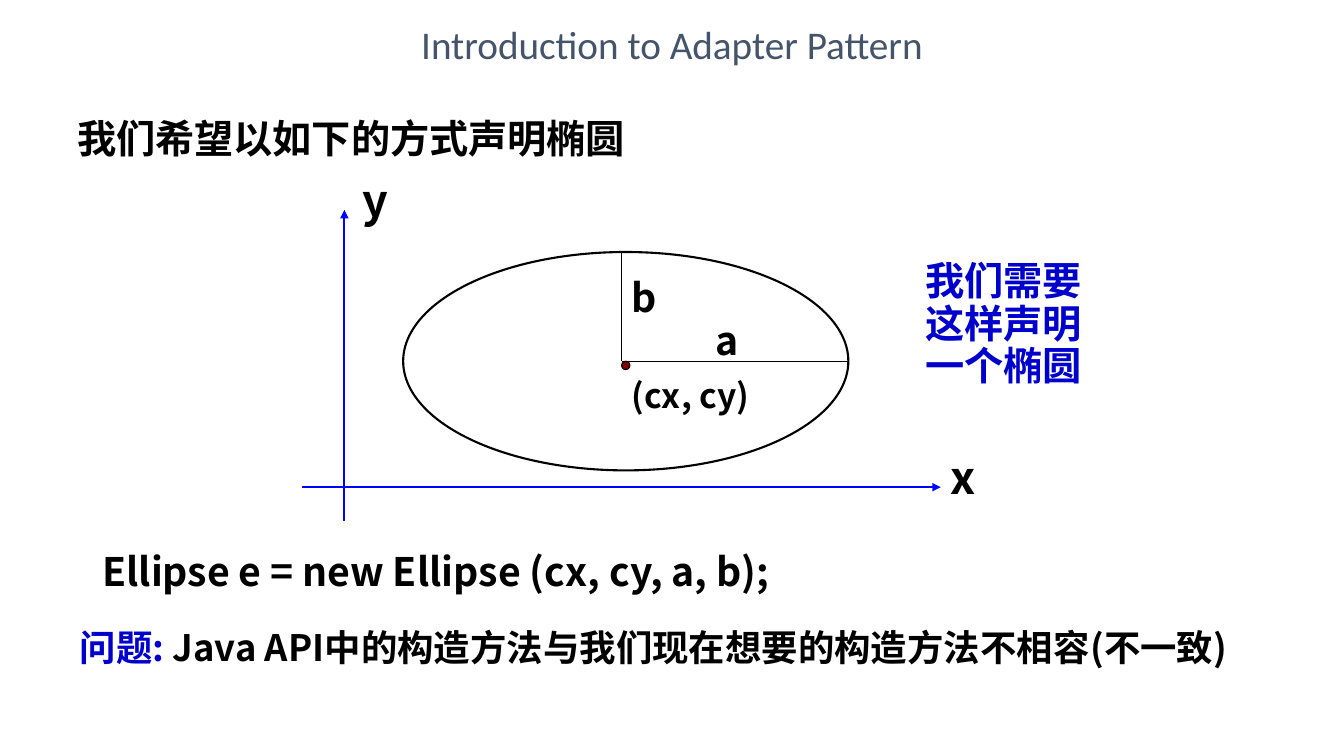
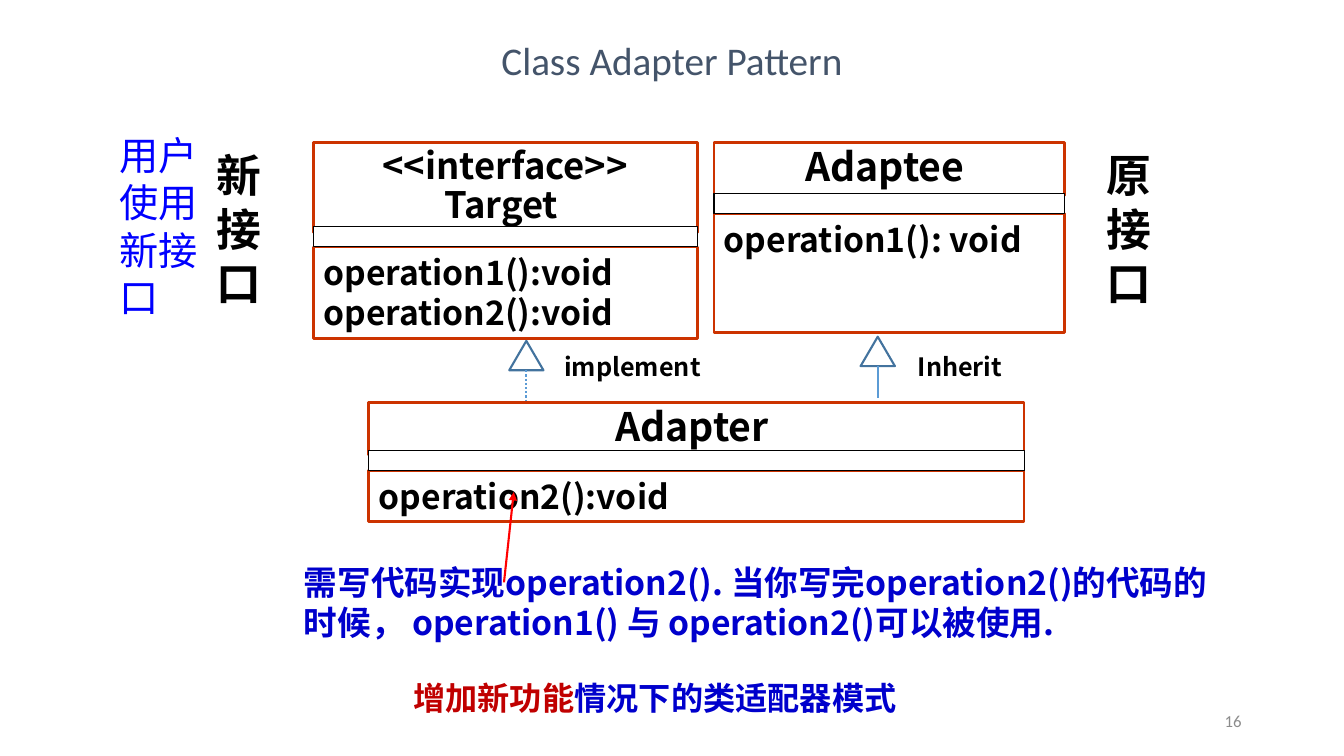
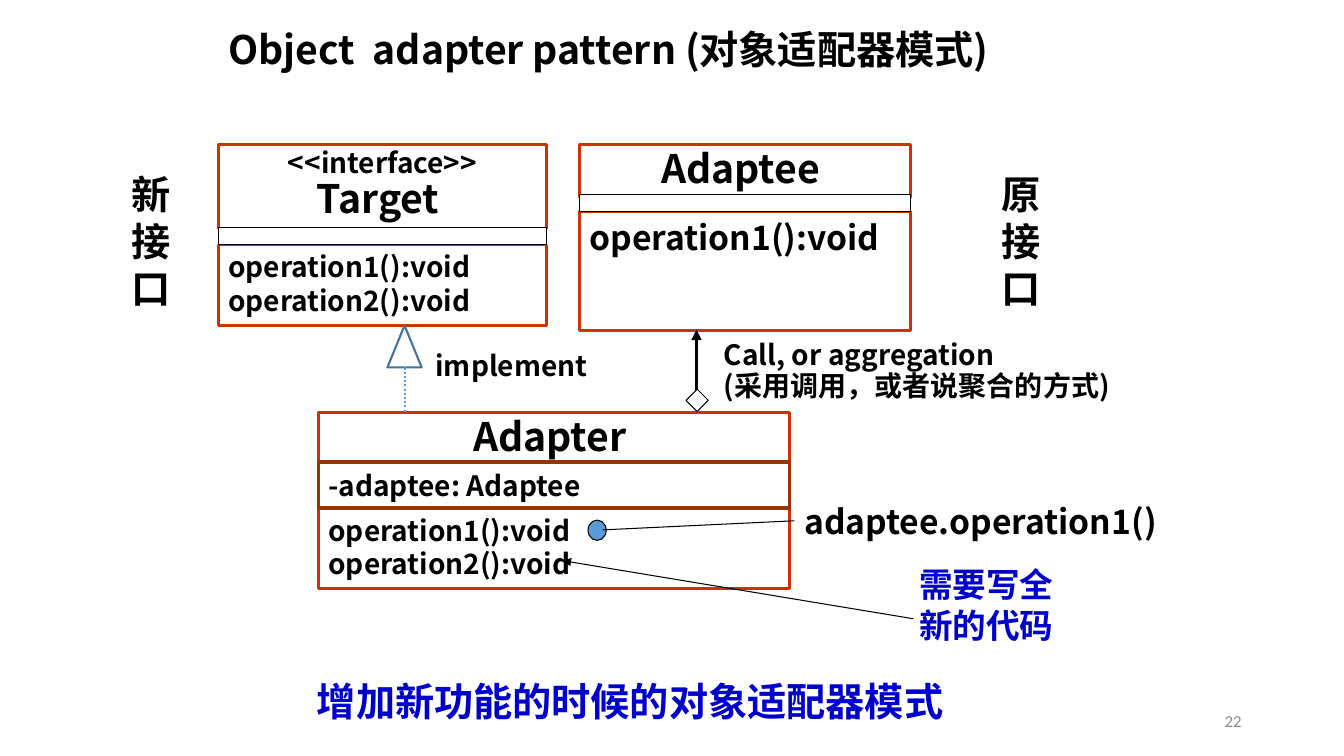
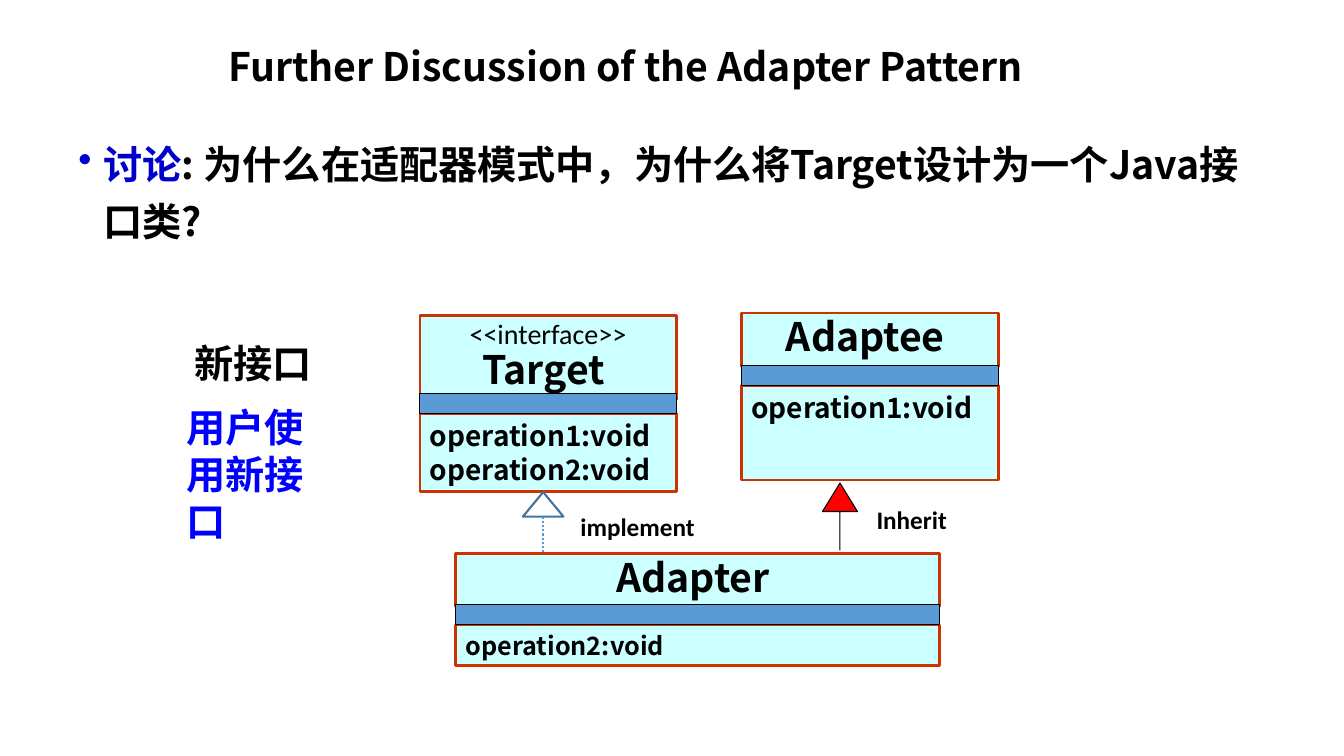
from dataclasses import dataclass, replace

from lxml.etree import SubElement
from pptx import Presentation
from pptx.dml.color import RGBColor
from pptx.enum.dml import MSO_LINE
from pptx.enum.shapes import MSO_CONNECTOR, MSO_SHAPE
from pptx.enum.text import MSO_ANCHOR, MSO_AUTO_SIZE, PP_ALIGN
from pptx.oxml.ns import qn
from pptx.util import Pt

BLACK = RGBColor(0, 0, 0)
WHITE = RGBColor(0xFF, 0xFF, 0xFF)
SLATE = RGBColor(0x44, 0x54, 0x6A)
GREY = RGBColor(0x8C, 0x8C, 0x8C)
NAVY = RGBColor(0, 0, 0xCC)
BLUE = RGBColor(0, 0, 0xFF)
RED = RGBColor(0xFF, 0, 0)
CRIMSON = RGBColor(0xC0, 0, 0)
MAROON = RGBColor(0x80, 0, 0)
RUST = RGBColor(0xCC, 0x33, 0)
BROWN = RGBColor(0x99, 0x33, 0)
STEEL = RGBColor(0x43, 0x73, 0x9E)
SKY = RGBColor(0x5B, 0x9B, 0xD5)
AQUA = RGBColor(0xCC, 0xFF, 0xFF)


@dataclass(frozen=True)
class Style:
    size: float = 28
    color: RGBColor = BLACK
    bold: bool = True
    font: str = "Noto Sans CJK SC"


BODY = Style()
MEDIUM = Style(size=24)
SMALL = Style(size=20)
LABEL = Style(size=18)
LATIN_LABEL = Style(size=18, font="Calibri")
NOTE = Style(color=NAVY)
TITLE = Style(color=SLATE, bold=False, font="Calibri")
FOOTER = Style(size=12, color=GREY, bold=False, font="Calibri")


class Sheet:
    """Holds the deck, the current slide and the shared look; lengths are points."""

    def __init__(self):
        self.deck = Presentation()
        self.deck.slide_width, self.deck.slide_height = Pt(960), Pt(540)
        self.shapes = None

    def new_slide(self):
        self.shapes = self.deck.slides.add_slide(self.deck.slide_layouts[6]).shapes

    def put_text(self, shape, lines, style=BODY, align=PP_ALIGN.LEFT, spacing=None,
                 anchor=MSO_ANCHOR.TOP, grow=True, hanging=0, bullet=None):
        """Fill a shape; a line is a string or a list of (string, Style) pairs."""
        frame = shape.text_frame
        frame.word_wrap = True
        frame.vertical_anchor = anchor
        frame.auto_size = MSO_AUTO_SIZE.SHAPE_TO_FIT_TEXT if grow else MSO_AUTO_SIZE.NONE
        for index, line in enumerate(lines):
            para = frame.add_paragraph() if index else frame.paragraphs[0]
            para.alignment = align
            if spacing:
                para.line_spacing = spacing
            if hanging:
                properties = para._p.get_or_add_pPr()
                properties.set("marL", str(Pt(hanging)))
                properties.set("indent", str(-Pt(hanging)))
                if bullet:
                    SubElement(properties, qn("a:buChar")).set("char", bullet)
            for words, look in [(line, style)] if isinstance(line, str) else line:
                span = para.add_run()
                span.text = words
                span.font.size = Pt(look.size)
                span.font.bold = look.bold
                span.font.color.rgb = look.color
                span.font.name = look.font
                SubElement(span._r.get_or_add_rPr(), qn("a:ea")).set("typeface", look.font)

    def text(self, left, top, width, height, lines, style=BODY, **options):
        box = self.shapes.add_textbox(Pt(left), Pt(top), Pt(width), Pt(height))
        self.put_text(box, lines, style, **options)
        return box

    def shape(self, kind, left, top, width, height, fill=None, line=BLACK, weight=0.75):
        shape = self.shapes.add_shape(kind, Pt(left), Pt(top), Pt(width), Pt(height))
        shape.shadow.inherit = False
        if fill is None:
            shape.fill.background()
        else:
            shape.fill.solid()
            shape.fill.fore_color.rgb = fill
        if line is None:
            shape.line.fill.background()
        else:
            shape.line.color.rgb = line
            shape.line.width = Pt(weight)
        return shape

    def line(self, start, end, color=BLACK, weight=0.75, arrow=False, dash=None):
        connector = self.shapes.add_connector(
            MSO_CONNECTOR.STRAIGHT, *(Pt(value) for value in (*start, *end)))
        connector.line.color.rgb = color
        connector.line.width = Pt(weight)
        if dash:
            connector.line.dash_style = dash
        if arrow:
            SubElement(connector.get_or_add_ln(), qn("a:tailEnd")).set("type", "triangle")
        SubElement(connector._element.spPr, qn("a:effectLst"))
        return connector

    def title(self, top, words):
        self.text(156, top, 648, 50, [words], TITLE, align=PP_ALIGN.CENTER,
                  anchor=MSO_ANCHOR.MIDDLE, grow=False)

    def bold_title(self, top, height, words):
        self.text(156, top, 648, height, [words], spacing=0.9,
                  anchor=MSO_ANCHOR.MIDDLE, grow=False)

    def page_number(self, number):
        self.text(678, 500.5, 216, 28.75, [number], FOOTER, align=PP_ALIGN.RIGHT,
                  anchor=MSO_ANCHOR.MIDDLE, grow=False)

    def class_box(self, left, top, width, head, head_height, band_top, band_height,
                  rows, rows_height, style=MEDIUM, head_style=BODY, fill=WHITE,
                  band_fill=WHITE):
        """Draw a class with its name, a middle band and its operations; return the band."""
        rows_top = band_top + band_height
        operations = self.shape(MSO_SHAPE.RECTANGLE, left, rows_top, width, rows_height,
                                fill, RUST, 2)
        self.put_text(operations, rows, style)
        name = self.shape(MSO_SHAPE.RECTANGLE, left, top, width, head_height, fill, RUST, 2)
        self.put_text(name, head, head_style, align=PP_ALIGN.CENTER, spacing=0.9)
        return self.shape(MSO_SHAPE.RECTANGLE, left, band_top, width, band_height, band_fill)

    def hollow_arrow(self, center, top, width, height, bottom, dash=None):
        """Draw an upward arrow with an open triangle for a head."""
        self.shape(MSO_SHAPE.FLOWCHART_EXTRACT, center - width / 2, top, width, height,
                   line=STEEL, weight=1.5)
        self.line((center, top + height), (center, bottom), SKY, 1.5, dash=dash)


def ellipse_slide(sheet):
    sheet.new_slide()
    problem = sheet.text(57, 450, 845, 28,
                         [[("问题: ", Style(26, NAVY)),
                           ("Java API中的构造方法与我们现在想要的构造方法不相容(不一致)", Style(26))]],
                         spacing=0.9, hanging=18)
    frame = problem.text_frame
    frame.margin_left = frame.margin_top = frame.margin_right = frame.margin_bottom = 0

    sheet.shape(MSO_SHAPE.OVAL, 288, 180, 318, 156, weight=1.5)
    sheet.line((216, 348), (672, 348), BLUE, 1.5, arrow=True)
    sheet.line((246, 372), (246, 150), BLUE, 1.5, arrow=True)
    sheet.shape(MSO_SHAPE.OVAL, 444, 258, 6, 6, MAROON)
    center = (444, 258)
    for end in ((606, 258), (444, 180)):
        sheet.line(center, end)

    axis = Style(size=32)
    for left, top, width, height, words, style in (
            (444, 264, 102, 36, "(cx, cy)", MEDIUM),
            (504, 222.5, 54, 41, "a", BODY),
            (444, 192, 54, 41, "b", BODY),
            (672, 318, 42, 45, "x", axis),
            (252, 120, 42, 45, "y", axis),
            (66, 387.5, 574, 41, "Ellipse e = new Ellipse (cx, cy, a, b);", BODY)):
        sheet.text(left, top, width, height, [words], style)
    sheet.title(6, "Introduction to Adapter Pattern")
    sheet.text(654, 183.5, 150, 98.5, ["我们需要这样声明", "一个椭圆"], NOTE, spacing=0.9)
    sheet.text(48, 78, 432, 42, ["我们希望以如下的方式声明椭圆"], hanging=27, grow=False)


def class_adapter_slide(sheet):
    sheet.new_slide()
    sheet.page_number("16")
    sheet.text(162, 481, 612, 35,
               [[("增加新功能", Style(23, CRIMSON)), ("情况下的类适配器模式", Style(23, NAVY))]],
               align=PP_ALIGN.CENTER)
    sheet.class_box(224, 102, 274, ["<<interface>>", "Target "], 64, 162, 14.4,
                    ["operation1():void", "operation2():void"], 65.5,
                    head_style=Style(size=26))
    sheet.class_box(510, 102, 250.5, ["Adaptee "], 37.5, 138.4, 14.4,
                    ["operation1(): void"], 85)
    sheet.class_box(263.5, 287.5, 468, ["Adapter "], 37.5, 322, 14.4,
                    ["operation2():void"], 36)
    sheet.text(648.5, 247.5, 88, 29, ["Inherit"], LABEL)
    sheet.text(388, 247.5, 127.5, 29, ["implement"], LABEL, align=PP_ALIGN.CENTER)
    sheet.text(210, 397.5, 670, 65.5,
               ["需写代码实现operation2(). 当你写完operation2()的代码的时候， "
                "operation1() 与 operation2()可以被使用."], replace(MEDIUM, color=NAVY))
    sheet.title(18, "Class Adapter Pattern")
    for left, words in ((783.5, "原接口"), (147.5, "新接口")):
        sheet.text(left, 102, 52, 124, list(words), Style(size=32))
    sheet.text(78.5, 90.5, 75, 143, ["用户", "使用", "新接", "口"],
               Style(color=BLUE, bold=False))
    sheet.line((360, 416), (367, 351.5), RED, 1.5, arrow=True)
    sheet.hollow_arrow(627, 240.5, 24.5, 21, 284.5)
    sheet.hollow_arrow(376, 243.5, 24.5, 21, 286.5, MSO_LINE.ROUND_DOT)


def object_adapter_slide(sheet):
    sheet.new_slide()
    sheet.page_number("22")
    operations = ["operation1():void", "operation2():void"]
    sheet.class_box(156, 103, 234.5, [[("<<interface>>", SMALL)], "Target "], 60,
                    162.75, 12.25, operations, 57.5, SMALL)
    sheet.class_box(414, 103, 236.5, ["Adaptee "], 38, 139, 12.25, operations[:1], 85)
    attribute = sheet.class_box(227.5, 294.5, 336.5, ["Adapter "], 38, 330, 33,
                                operations, 57.5, SMALL)
    attribute.line.color.rgb = BROWN
    attribute.line.width = Pt(2.5)
    sheet.put_text(attribute, ["-adaptee: Adaptee"], SMALL, anchor=MSO_ANCHOR.MIDDLE,
                   grow=False)

    sheet.line((497.5, 281), (497.5, 235.5), weight=2.5, arrow=True)
    sheet.text(510, 240.5, 300, 51, ["Call, or aggregation", "(采用调用，或者说聚合的方式)"],
               SMALL, spacing=0.9)
    sheet.text(304, 245.5, 126, 31, ["implement"], SMALL)
    sheet.text(168, 480, 564, 41, ["增加新功能的时候的对象适配器模式"], NOTE,
               align=PP_ALIGN.CENTER)
    sheet.shape(MSO_SHAPE.DIAMOND, 490, 278, 16, 16, WHITE)
    sheet.text(649.5, 399.5, 124.5, 65.5, ["需要写全", "新的代码"], replace(MEDIUM, color=NAVY))
    sheet.line((652.5, 442), (402, 400.5), arrow=True)
    for left, words in ((708, "原接口"), (87, "新接口")):
        sheet.text(left, 118, 44, 109, list(words))

    sheet.shape(MSO_SHAPE.OVAL, 420, 371.5, 13, 14.5, SKY)
    call = sheet.shape(MSO_SHAPE.RECTANGLE, 567.5, 354, 301.5, 36, WHITE, line=None)
    sheet.put_text(call, ["adaptee.operation1()"], MEDIUM)
    sheet.line((430.5, 378.5), (567.5, 372)).end_connect(call, 1)
    sheet.bold_title(18, 38, "Object  adapter pattern (对象适配器模式)")
    sheet.hollow_arrow(289, 232.5, 24.5, 30, 294.5, MSO_LINE.ROUND_DOT)


def discussion_slide(sheet):
    sheet.new_slide()
    sheet.text(49, 90, 864, 85,
               [[("讨论", NOTE), (": 为什么在适配器模式中，为什么将Target设计为一个Java接口类?", BODY)]],
               spacing=1.2, hanging=18, bullet="•", grow=False)
    colors = {"fill": AQUA, "band_fill": SKY}
    stereotype = Style(size=20, bold=False, font="Calibri")
    sheet.class_box(300, 225.5, 183, [[("<<interface>>", stereotype)], "Target "], 60,
                    281, 14.4, ["operation1:void", "operation2:void"], 55.5, SMALL, **colors)
    sheet.class_box(529.5, 223.5, 183.5, ["Adaptee "], 38, 261, 14.4,
                    ["operation1:void"], 67.5, SMALL, **colors)
    sheet.class_box(325.5, 395.5, 345.5, ["Adapter "], 38, 432, 14.4,
                    ["operation2:void"], 29, LABEL, **colors)
    sheet.text(619, 356.5, 106.5, 29, ["Inherit"], LATIN_LABEL)
    sheet.text(407.5, 361.5, 127.5, 29, ["implement"], LATIN_LABEL)
    arrow = sheet.shape(MSO_SHAPE.UP_ARROW, 587.5, 345, 25, 48, RED)
    arrow.adjustments[0] = 0
    arrow.adjustments[1] = 0.815
    sheet.text(132, 239, 114, 41, ["新接口"])
    sheet.text(126, 284.5, 114, 109, ["用户使用新接口"], Style(color=BLUE))
    sheet.bold_title(21.5, 56, "Further Discussion of the Adapter Pattern")
    sheet.hollow_arrow(388, 351.5, 29, 17.5, 394, MSO_LINE.ROUND_DOT)


def main():
    sheet = Sheet()
    for build in (ellipse_slide, class_adapter_slide, object_adapter_slide, discussion_slide):
        build(sheet)
    sheet.deck.save("out.pptx")


if __name__ == "__main__":
    main()
